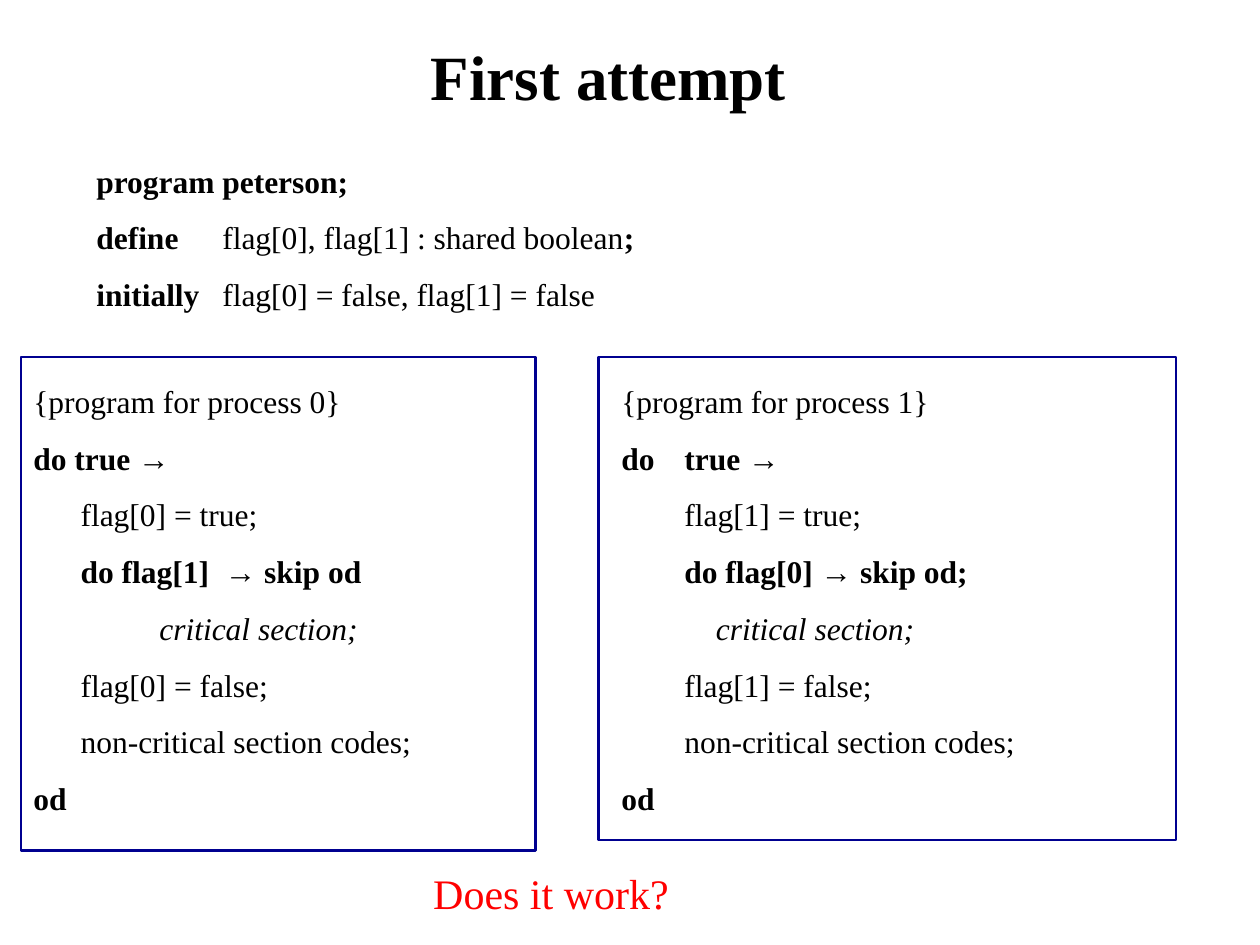
from dataclasses import dataclass
from lxml.etree import SubElement
from pptx import Presentation
from pptx.dml.color import RGBColor
from pptx.enum.shapes import MSO_SHAPE
from pptx.enum.text import MSO_AUTO_SIZE, PP_ALIGN
from pptx.oxml.ns import qn
from pptx.util import Pt


@dataclass(frozen=True)
class Theme:
    font: str = "Times New Roman"
    ink: RGBColor = RGBColor(0, 0, 0)
    frame: RGBColor = RGBColor(0, 0, 0x90)
    alert: RGBColor = RGBColor(0xFF, 0, 0)
    title: int = 36
    ask: int = 24
    code: int = 18


THEME = Theme()
TOP = 204  # shared top of both process panels

# Each line: indent, tab stop, runs of (text, style); b = bold, i = italic
HEAD = [
    (0, 144, [("program\tpeterson;", "b")]),
    (0, 144, [("define\t", "b"), ("flag[0], flag[1] : shared boolean", ""),
              (";", "b")]),
    (0, 144, [("initially\t", "b"), ("flag[0] = false, flag[1] = false", "")]),
]


def process(num, start, stop, wait, step, deep):
    """Lines of the program for one process."""
    return [
        (0, 0, [(f"{{program for process {num}}}", "")]),
        (0, stop, [(start, "b")]),
        (step, 0, [(f"flag[{num}] = true;", "")]),
        (step, 0, [(wait, "b")]),
        (deep, 0, [("critical section;", "i")]),
        (step, 0, [(f"flag[{num}] = false;", "")]),
        (step, 0, [("non-critical section codes;", "")]),
        (0, 0, [("od", "b")]),
    ]


def add_text(slide, area, lines, size, color=THEME.ink, space=1.0,
             wrap=True, align=PP_ALIGN.LEFT):
    box = slide.shapes.add_textbox(*map(Pt, area))
    frame = box.text_frame
    frame.word_wrap = wrap
    frame.auto_size = MSO_AUTO_SIZE.SHAPE_TO_FIT_TEXT
    for row, (indent, stop, runs) in enumerate(lines):
        para = frame.paragraphs[0] if row == 0 else frame.add_paragraph()
        para.alignment = align
        para.line_spacing = space
        set_stops(para, indent, stop)
        for text, style in runs:
            run = para.add_run()
            run.text = text
            font = run.font
            font.name, font.size = THEME.font, Pt(size)
            font.bold, font.italic = "b" in style, "i" in style
            font.color.rgb = color


def set_stops(para, indent, stop):
    props = para._p.get_or_add_pPr()
    props.set("marL", str(Pt(indent)))
    props.set("indent", "0")
    if stop:
        tabs = SubElement(props, qn("a:tabLst"))
        SubElement(tabs, qn("a:tab"), pos=str(Pt(stop)), algn="l")


def add_frame(slide, area):
    rect = slide.shapes.add_shape(MSO_SHAPE.RECTANGLE, *map(Pt, area))
    rect.shadow.inherit = False
    rect.fill.background()
    rect.line.color.rgb = THEME.frame
    rect.line.width = Pt(1.5)


def main():
    deck = Presentation()
    deck.slide_width, deck.slide_height = Pt(720), Pt(540)
    slide = deck.slides.add_slide(deck.slide_layouts[6])

    # Process programs
    left = process(0, "do true →", 0, "do flag[1]  → skip od", 27, 72)
    right = process(1, "do\ttrue →", 32.5, "do flag[0] → skip od;", 36, 54)
    add_text(slide, (12, TOP, 330, 288), left, THEME.code, space=1.5)
    add_text(slide, (348, TOP, 321, 288), right, THEME.code, space=1.5)

    # Declarations and title
    add_text(slide, (48, 78, 606, 137), HEAD, THEME.code, space=1.5)
    add_text(slide, (239, 18, 217.5, 50.5), [(0, 0, [("First attempt", "b")])],
             THEME.title, wrap=False, align=PP_ALIGN.CENTER)

    # Panel frames
    add_frame(slide, (12, TOP, 294, 282))
    add_frame(slide, (342, TOP, 330, 276))

    # Closing question
    add_text(slide, (240.5, 492, 149, 36), [(0, 0, [("Does it work?", "")])],
             THEME.ask, THEME.alert, wrap=False)

    deck.save("out.pptx")


if __name__ == "__main__":
    main()
